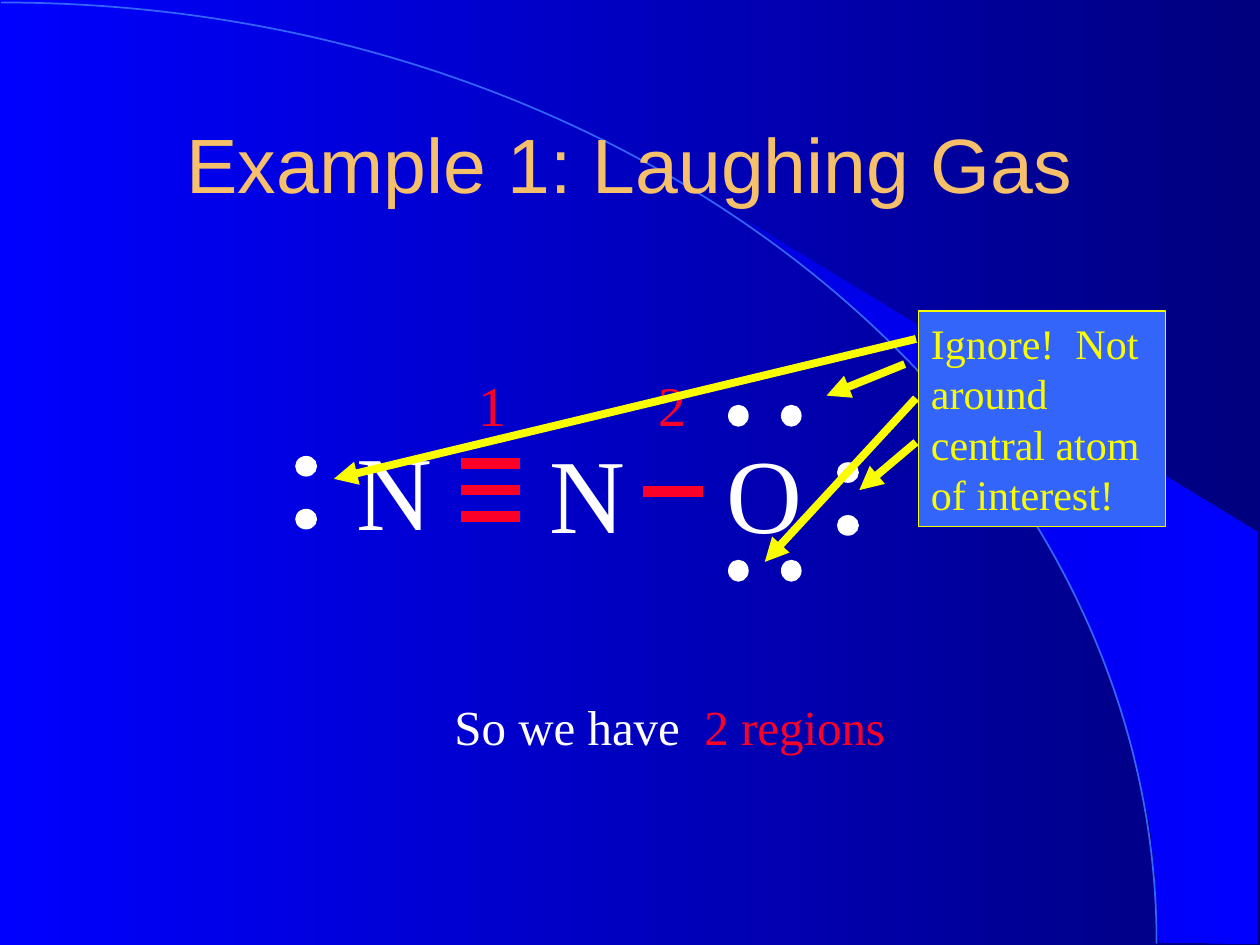
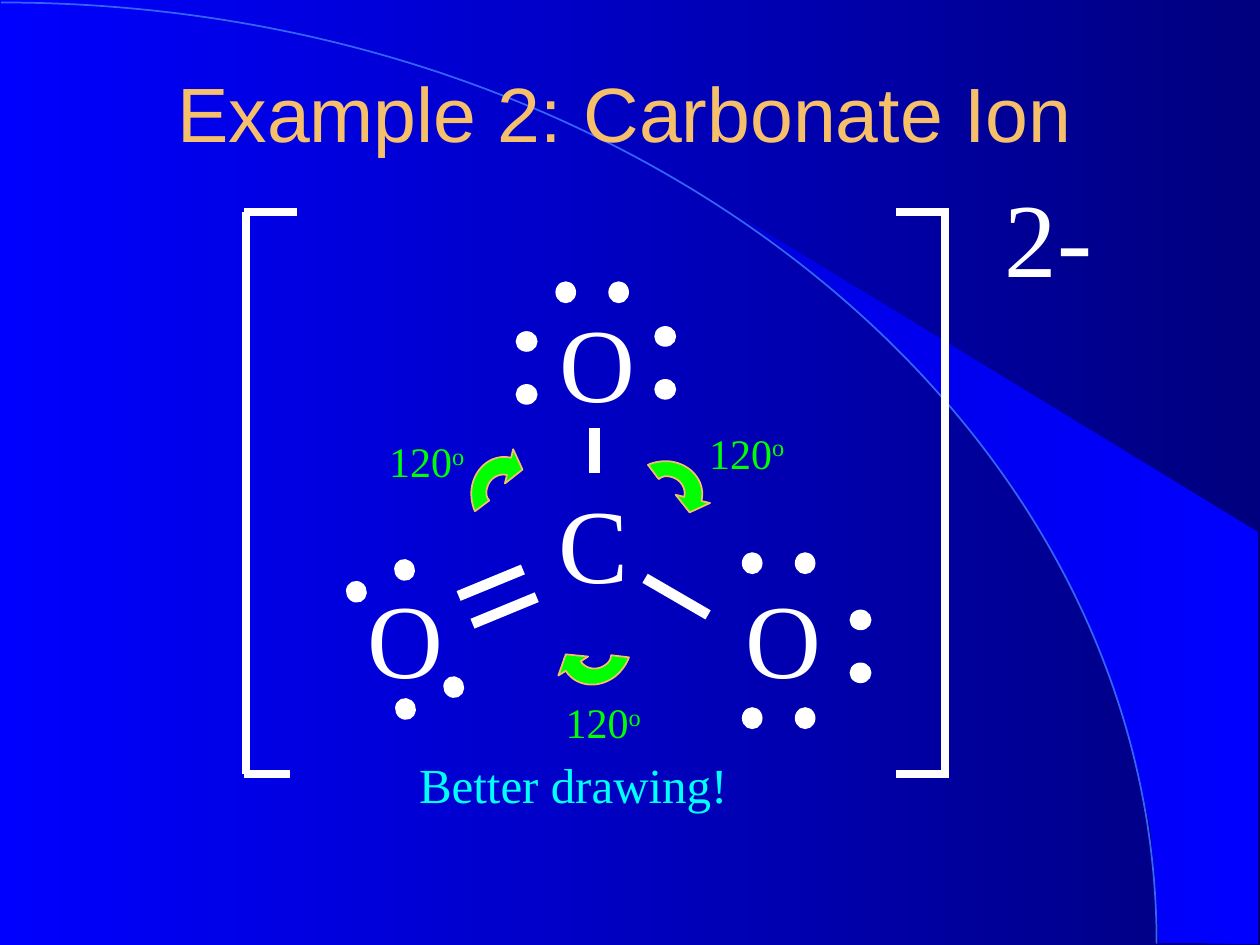
from math import cos, radians, sin

from lxml.etree import SubElement
from pptx import Presentation
from pptx.dml.color import RGBColor
from pptx.enum.shapes import MSO_CONNECTOR, MSO_SHAPE
from pptx.enum.text import MSO_ANCHOR, PP_ALIGN
from pptx.oxml.ns import qn
from pptx.util import Inches, Pt

COLORS = {
    "white": "FFFFFF", "red": "FC0128", "yellow": "FAFD00", "gold": "F6BF69",
    "green": "00FF00", "cyan": "00FFFF", "sky": "3365FB",
    "blue": "0000FF", "navy": "00007F", "royal": "0000E5",
}
TITLE_FONT, BODY_FONT = "Arial", "Times New Roman"

# Outlines: a pair is a corner, a triple of pairs is a Bezier segment.
# Shared backdrop: a wedge and the curve that runs along it
WEDGE = [
    (9.2, 7.48), (9.99, 7.49), (9.99, 4.23), (5.89, 1.73), (6.24, 1.99),
    (6.53, 2.22), (6.85, 2.5), (7.16, 2.8), (7.62, 3.3), (8.03, 3.84),
    (8.32, 4.31), (8.58, 4.79), (8.78, 5.28), (8.93, 5.72), (9.03, 6.09),
    (9.13, 6.56), (9.17, 6.96),
]
CURVE = [(0.01, 0.02), ((5.08, 0.02), (9.18, 3.37), (9.18, 7.49))]

# Curved arrow around the centre of its ring
ANGLE_ARROW = [
    (0.14, 0),
    ((0.14, -0.07), (0.08, -0.13), (0, -0.13)),
    ((-0.04, -0.13), (-0.07, -0.12), (-0.09, -0.09)),
    (-0.2, -0.18),
    ((-0.15, -0.22), (-0.07, -0.25), (0, -0.25)),
    ((0.16, -0.25), (0.28, -0.14), (0.28, 0)),
    (0.35, 0), (0.21, 0.11), (0.07, 0),
]
ARROW_MIDDLE = (0.08, -0.07)

# Atoms: text, left, top. Electron pairs: centre x, centre y, angle.
# Lines: x1, y1, x2, y2.
LAUGHING_GAS = {
    "title": ("Example 1: Laughing Gas", 0.75, 0.67),
    "atoms": [("N", 4.04, 3.35), ("N", 2.51, 3.33), ("O", 5.45, 3.35)],
    "pairs": [(6.07, 3.3, 0), (6.07, 4.53, 0), (6.73, 3.96, 270), (2.43, 3.91, 270)],
    "bonds": [(3.66, y, 4.13, y) for y in (3.68, 3.89, 4.1)] + [(5.1, 3.9, 5.58, 3.9)],
}
REGION_NUMBERS = [("1", 3.51), ("2", 4.94)]
SUMMARY = [("So we have  ", "white"), ("2 regions", "red")]
IGNORE_NOTE = "Ignore!  Not around central atom of interest!"
IGNORE_ARROWS = [
    (7.18, 2.89, 6.56, 3.14), (7.27, 3.51, 6.82, 3.89),
    (7.27, 3.16, 6.07, 4.46), (7.27, 2.69, 2.65, 3.8),
]

CARBONATE = {
    "title": ("Example 2: Carbonate Ion", 0.71, 0.26),
    "atoms": [("C", 4.09, 3.75), ("O", 2.6, 4.5), ("O", 5.6, 4.5),
              ("O", 4.12, 2.31), ("2-", 7.7, 1.32)],
    "pairs": [
        (4.7, 2.32, 0), (5.28, 2.88, 270), (4.18, 2.92, 270),
        (6.18, 4.47, 0), (6.18, 5.7, 0), (6.83, 5.13, 270),
        (3.02, 4.61, 335.6), (3.41, 5.54, 335.6),
    ],
    "bonds": [(3.64, 4.73, 4.15, 4.52), (3.75, 4.95, 4.26, 4.74),
              (5.12, 4.59, 5.62, 4.88), (4.72, 3.75, 4.72, 3.4)],
}
BRACKET_TOP, BRACKET_BOTTOM = 1.68, 6.14
# Upright x, outer end, end of the top arm, end of the bottom arm
BRACKETS = [(1.95, 1.94, 2.36, 2.3), (7.5, 7.53, 7.11, 7.11)]
ANGLE_LABELS = [(2.99, 3.41), (4.39, 5.48), (5.53, 3.34)]
# Ring centre x, ring centre y, turn in degrees
ANGLE_ARROWS = [(3.99, 3.91, 283.5), (5.29, 3.91, 13.5), (4.73, 5.17, 147.4)]


def rgb(name):
    return RGBColor.from_string(COLORS[name])


def set_gradient(fill, *names):
    fill.gradient()
    fill.gradient_angle = 0
    for stop, name in zip(fill.gradient_stops, names):
        stop.color.rgb = rgb(name)


def paint(shape, fill, line):
    """Give a shape a solid fill and a 1 pt line, without a shadow."""
    shape.shadow.inherit = False
    shape.fill.solid()
    shape.fill.fore_color.rgb = rgb(fill)
    shape.line.color.rgb = rgb(line)
    shape.line.width = Pt(1)


def add_outline(s, outline, close=True):
    """Draw corners as a freeform, then join each triple into a Bezier segment."""
    parts = [part if isinstance(part[0], tuple) else (part,) for part in outline]
    points = [tuple(map(Inches, point)) for part in parts for point in part]
    builder = s.shapes.build_freeform(*points[0])
    builder.add_line_segments(points[1:], close=close)
    shape = builder.convert_to_shape()
    shape.shadow.inherit = False
    segments = iter(list(shape.element.iter(qn("a:lnTo"))))
    for part in parts[1:]:
        first, *rest = [next(segments) for _ in part]
        if rest:
            first.tag = qn("a:cubicBezTo")
            for segment in rest:
                first.append(segment[0])
                segment.getparent().remove(segment)
    return shape


def add_backdrop(prs, s):
    """Set the master's background and move wedge and curve from s to it."""
    set_gradient(prs.slide_master.background.fill, "blue", "navy")
    wedge = add_outline(s, WEDGE)
    set_gradient(wedge.fill, "royal", "blue")
    wedge.line.fill.background()
    curve = add_outline(s, CURVE, close=False)
    curve.fill.background()
    curve.line.color.rgb = rgb("sky")
    curve.line.width = Pt(1)
    for i, shape in enumerate((wedge, curve)):
        prs.slide_master.shapes.element.insert(2 + i, shape.element)


def write(shape, runs, size, align=PP_ALIGN.CENTER):
    """Write (text, colour) runs as one paragraph at the top of a shape."""
    tf = shape.text_frame
    tf.word_wrap = True
    tf.vertical_anchor = MSO_ANCHOR.TOP
    p = tf.paragraphs[0]
    p.alignment = align
    p.font.name, p.font.size = BODY_FONT, Pt(size)
    for text, color in runs:
        r = p.add_run()
        r.text = text
        r.font.color.rgb = rgb(color)
    return p


def add_text(s, box, runs, size, align=PP_ALIGN.CENTER):
    return write(s.shapes.add_textbox(*map(Inches, box)), runs, size, align)


def add_line(s, ends, color, width, arrow=False):
    line = s.shapes.add_connector(MSO_CONNECTOR.STRAIGHT, *map(Inches, ends))
    line.line.color.rgb = rgb(color)
    line.line.width = Pt(width)
    if arrow:
        SubElement(line.line._get_or_add_ln(), qn("a:tailEnd"), type="triangle")
    SubElement(line.element.spPr, qn("a:effectLst"))


def add_electron_pair(s, cx, cy, angle):
    w, h, reach = 0.15, 0.16, 0.21
    dx, dy = reach * cos(radians(angle)), reach * sin(radians(angle))
    for side in (-1, 1):
        left, top = cx + side * dx - w / 2, cy + side * dy - h / 2
        dot = s.shapes.add_shape(MSO_SHAPE.OVAL, *map(Inches, (left, top, w, h)))
        dot.rotation = angle
        paint(dot, "white", "white")


def add_angle_arrow(s, cx, cy, turn):
    """Turn the arrow about the centre of its ring, not of its frame."""
    arrow = add_outline(s, ANGLE_ARROW)
    paint(arrow, "green", "gold")
    c, n = cos(radians(turn)), sin(radians(turn))
    x, y = ARROW_MIDDLE
    arrow.left = Inches(cx + x * c - y * n) - arrow.width // 2
    arrow.top = Inches(cy + x * n + y * c) - arrow.height // 2
    arrow.rotation = turn


def add_molecule_slide(prs, molecule, bond_color):
    s = prs.slides.add_slide(prs.slide_layouts[5])
    text, left, top = molecule["title"]
    title = s.shapes.title
    title.left, title.top = Inches(left), Inches(top)
    title.width, title.height = Inches(8.5), Inches(1.25)
    tf = title.text_frame
    tf.text = text
    tf.vertical_anchor = MSO_ANCHOR.MIDDLE
    p = tf.paragraphs[0]
    p.alignment = PP_ALIGN.CENTER
    p.font.name, p.font.size = TITLE_FONT, Pt(44)
    p.font.color.rgb = rgb("gold")
    for symbol, x, y in molecule["atoms"]:
        add_text(s, (x, y, 1.24, 1.1), [(symbol, "white")], 60)
    for bond in molecule["bonds"]:
        add_line(s, bond, bond_color, 6)
    for pair in molecule["pairs"]:
        add_electron_pair(s, *pair)
    return s


def add_laughing_gas(prs):
    s = add_molecule_slide(prs, LAUGHING_GAS, "red")
    add_text(s, (1.64, 5.48, 7.35, 0.57), SUMMARY, 28)
    for number, x in REGION_NUMBERS:
        add_text(s, (x, 2.89, 0.79, 0.63), [(number, "red")], 32)
    note = s.shapes.add_shape(MSO_SHAPE.RECTANGLE, *map(Inches, (7.29, 2.47, 1.96, 1.71)))
    paint(note, "sky", "yellow")
    write(note, [(IGNORE_NOTE, "yellow")], 24, PP_ALIGN.LEFT)
    for arrow in IGNORE_ARROWS:
        add_line(s, arrow, "yellow", 4.5, arrow=True)
    return s


def add_carbonate(prs):
    s = add_molecule_slide(prs, CARBONATE, "white")
    for x, outer, top_end, bottom_end in BRACKETS:
        for ends in ((x, BRACKET_TOP, x, BRACKET_BOTTOM),
                     (outer, BRACKET_TOP, top_end, BRACKET_TOP),
                     (outer, BRACKET_BOTTOM, bottom_end, BRACKET_BOTTOM)):
            add_line(s, ends, "white", 4.5)
    add_text(s, (2.96, 5.94, 3.18, 0.57), [("Better drawing!", "cyan")], 28)
    for arrow in ANGLE_ARROWS:
        add_angle_arrow(s, *arrow)
    for x, y in ANGLE_LABELS:
        p = add_text(s, (x, y, 1.06, 0.5), [("120", "green"), ("o", "green")],
                     24, PP_ALIGN.LEFT)
        p.runs[1]._r.get_or_add_rPr().set("baseline", "30000")


def main():
    prs = Presentation()
    prs.slide_width, prs.slide_height = Inches(10), Inches(7.5)
    s = add_laughing_gas(prs)
    add_backdrop(prs, s)
    add_carbonate(prs)
    prs.save("out.pptx")


if __name__ == "__main__":
    main()
